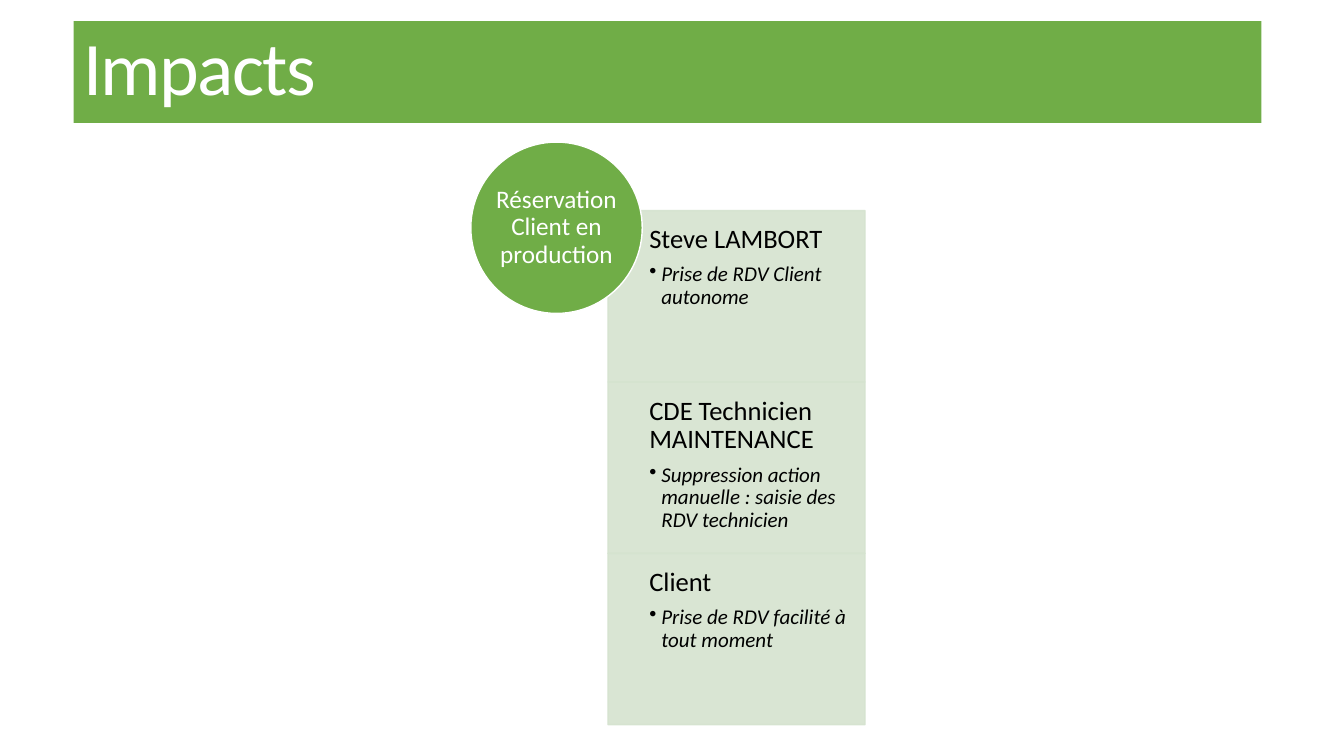
from lxml import etree
from pptx import Presentation
from pptx.dml.color import RGBColor
from pptx.enum.shapes import MSO_SHAPE
from pptx.enum.text import MSO_ANCHOR, MSO_AUTO_SIZE, PP_ALIGN
from pptx.oxml.ns import qn
from pptx.util import Emu, Pt

RECT, OVAL = MSO_SHAPE.RECTANGLE, MSO_SHAPE.OVAL
TOP, MIDDLE = MSO_ANCHOR.TOP, MSO_ANCHOR.MIDDLE
LEFT, CENTER = PP_ALIGN.LEFT, PP_ALIGN.CENTER
FIXED = MSO_AUTO_SIZE.NONE
SCALE = 9144
COLORS = {"green": "70AD47", "pale": "D5E3CF", "white": "FFFFFF", "black": "000000"}
STYLES = {
    "title": {"size": 54, "color": "white", "align": LEFT, "line": 0.85, "after": 0, "track": -120},
    "role": {"size": 19, "color": "black", "align": LEFT, "line": 0.9, "after": 6.65},
    "item": {"size": 15, "color": "black", "align": LEFT, "line": 0.9, "after": 2.25,
             "italic": True, "bullet": 12},
    "topic": {"size": 18, "color": "white", "align": CENTER, "line": 0.9, "after": 0},
}
ROLES = [
    ("Steve LAMBORT", "Prise de RDV Client autonome"),
    ("CDE Technicien MAINTENANCE", "Suppression action manuelle : saisie des RDV technicien"),
    ("Client", "Prise de RDV facilité à tout moment"),
]


def px(count):
    return Emu(count * SCALE)


def assign(target, values):
    for name, value in values.items():
        setattr(target, name, value)


class Deck:
    """Holds the style and the current slide, and draws its elements."""

    def __init__(self, width, height):
        self.show = Presentation()
        assign(self.show, {"slide_width": px(width), "slide_height": px(height)})
        self.slide = self.show.slides.add_slide(self.show.slide_layouts[5])

    def paint(self, fill, color, alpha=100):
        fill.solid()
        fill.fore_color.rgb = RGBColor.from_string(COLORS[color])
        if alpha < 100:
            tint = fill.fore_color._xFill[0]
            etree.SubElement(tint, qn("a:alpha")).set("val", str(alpha * 1000))

    def label(self, frame, lines, anchor, inset):
        sides = ("margin_left", "margin_top", "margin_right", "margin_bottom")
        assign(frame, {"word_wrap": True, "auto_size": FIXED, "vertical_anchor": anchor})
        assign(frame, dict(zip(sides, map(px, inset))))
        for index, (text, kind) in enumerate(lines):
            style = STYLES[kind]
            para = frame.add_paragraph() if index else frame.paragraphs[0]
            if "bullet" in style:
                props = para._p.get_or_add_pPr()
                props.set("marL", str(px(style["bullet"])))
                props.set("indent", str(px(-style["bullet"])))
                etree.SubElement(props, qn("a:buChar")).set("char", "•")
                para.level = 1
            assign(para, {"alignment": style["align"], "line_spacing": style["line"],
                          "space_before": Pt(0), "space_after": Pt(style["after"])})
            run = para.add_run()
            run.text = text
            assign(run.font, {"name": "Calibri", "size": Pt(style["size"]),
                              "italic": style.get("italic", False)})
            run.font.color.rgb = RGBColor.from_string(COLORS[style["color"]])
            if "track" in style:
                run._r.get_or_add_rPr().set("spc", str(style["track"]))

    def title(self, text, left, top, width, height):
        head = self.slide.shapes.title
        assign(head, {"left": px(left), "top": px(top), "width": px(width), "height": px(height)})
        self.paint(head.fill, "green")
        self.label(head.text_frame, [(text, "title")], MIDDLE, (10, 5, 10, 5))

    def block(self, kind, box, fill, line, lines, anchor, inset, alpha=100):
        shape = self.slide.shapes.add_shape(kind, *map(px, box))
        shape.shadow.inherit = False
        self.paint(shape.fill, fill, alpha)
        self.paint(shape.line.fill, line, alpha)
        shape.line.width = Pt(1)
        self.label(shape.text_frame, lines, anchor, inset)

    def panel(self, role, item, box):
        self.block(RECT, box, "pale", "pale", [(role, "role"), (item, "item")],
                   TOP, (41, 15, 15, 15), 90)

    def badge(self, text, box):
        self.block(OVAL, box, "green", "white", [(text, "topic")], MIDDLE, (0, 0, 0, 0))


def main():
    deck = Deck(1333, 750)
    deck.title("Impacts", 73, 21, 1178, 101)
    side = 170
    for row, (role, item) in enumerate(ROLES):
        deck.panel(role, item, (603, 209 + row * side, 255, side))
    deck.badge("Réservation Client en production", (467, 141, side, side))
    deck.show.save("out.pptx")


if __name__ == "__main__":
    main()
